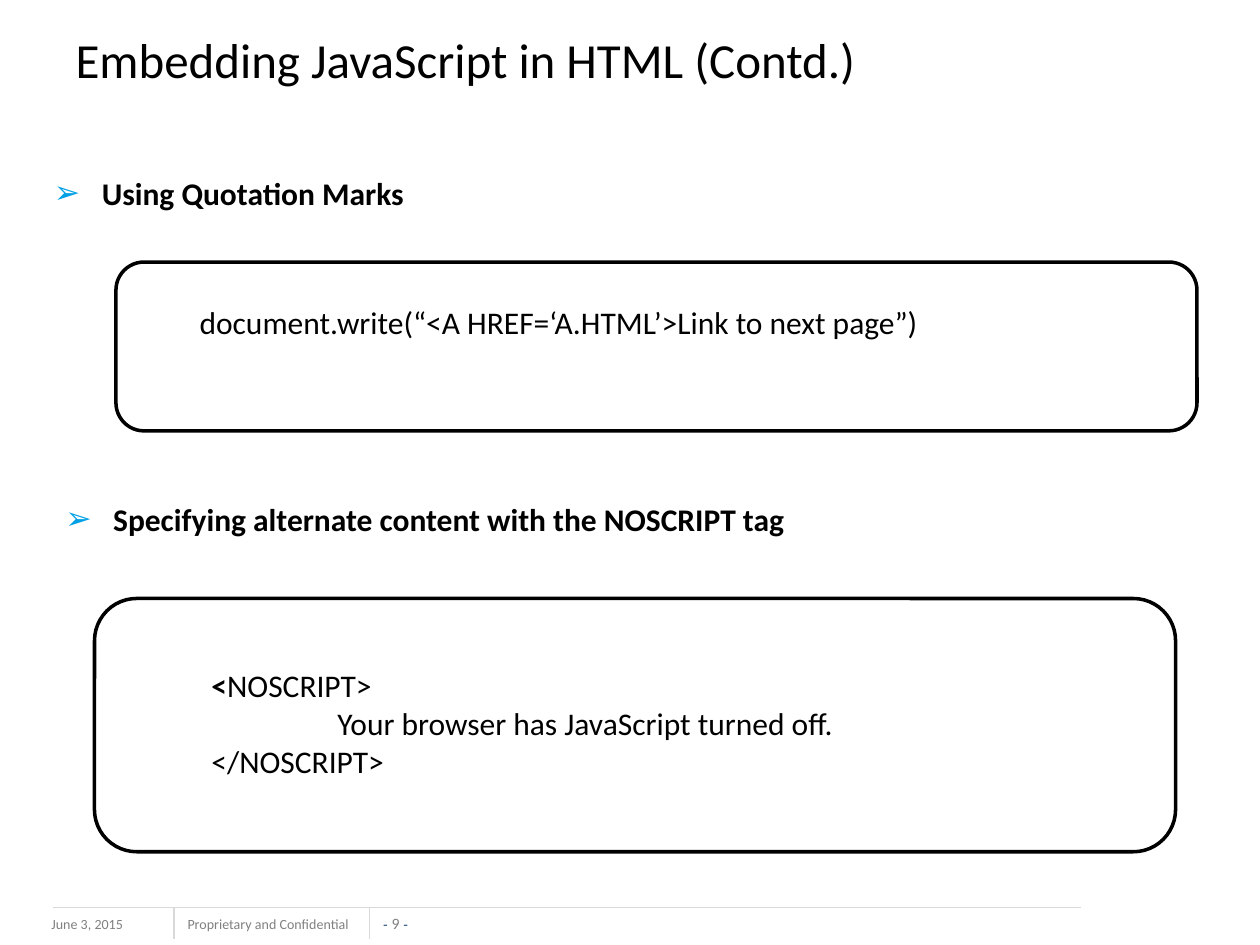
import pptx
import pptx.dml.color
import pptx.enum.shapes
import pptx.enum.text
import pptx.oxml.ns
import pptx.util
from lxml import etree
from pptx.util import Inches

ANCHOR = pptx.enum.text.MSO_ANCHOR
ALIGN = pptx.enum.text.PP_ALIGN
SHAPES = pptx.enum.shapes.MSO_SHAPE
qn = pptx.oxml.ns.qn


def style(font, size, color, bold=False, name="Calibri"):
    font.name = name
    font.size = pptx.util.Pt(size)
    font.bold = bold
    font.color.rgb = pptx.dml.color.RGBColor.from_string(color)


def add_text(left, top, width, height, text, wrap=True):
    box = slide.shapes.add_textbox(Inches(left), Inches(top), Inches(width), Inches(height))
    box.text_frame.word_wrap = wrap
    box.text_frame.text = text
    return box.text_frame


deck = pptx.Presentation()
deck.slide_width, deck.slide_height = Inches(10), Inches(7.5)
slide = deck.slides.add_slide(deck.slide_layouts[5])

# Footer
for left, width, text, wrap in [(0.31, 1.33, "June 3, 2015", True),
                                (1.39, 1.57, "Proprietary and Confidential", False)]:
    footer = add_text(left, 7.22, width, 0.25, text, wrap)
    style(footer.paragraphs[0].runs[0].font, 8, "808080")

page = add_text(3.01, 7.25, 0.26, 0.15, "", wrap=False)
page.margin_left = page.margin_right = page.margin_top = page.margin_bottom = 0
page.vertical_anchor = ANCHOR.BOTTOM
page.paragraphs[0].alignment = ALIGN.CENTER
for text, size, color, name in [("- ", 8, "1F497D", "Arial"), ("9 ", 9, "808080", "Calibri"),
                                ("-", 8, "1F497D", "Arial")]:
    run = page.paragraphs[0].add_run()
    run.text = text
    style(run.font, size, color, name=name)

for x1, y1, x2, y2 in [(8.58, 7.2, 0.42, 7.2), (1.38, 7.2, 1.38, 7.45), (2.93, 7.2, 2.93, 7.45)]:
    rule = slide.shapes.add_connector(pptx.enum.shapes.MSO_CONNECTOR.STRAIGHT,
                                      Inches(x1), Inches(y1), Inches(x2), Inches(y2))
    rule.line.color.rgb = pptx.dml.color.RGBColor.from_string("D9D9D9")
    rule.line.width = pptx.util.Pt(0.75)
    etree.SubElement(rule._element.spPr, qn("a:effectLst"))

# Title
title = slide.shapes.title
title.left, title.top, title.width, title.height = Inches(0.5), Inches(0.08), Inches(9), Inches(0.78)
title.text_frame.text = "Embedding JavaScript in HTML (Contd.)"
title.text_frame.vertical_anchor = ANCHOR.MIDDLE
title.text_frame.paragraphs[0].alignment = ALIGN.LEFT
style(title.text_frame.paragraphs[0].runs[0].font, 28, "000000")

# Bulleted headings
for left, top, text in [(0.33, 1.33, "Using Quotation Marks"),
                        (0.42, 3.92, "Specifying alternate content with the NOSCRIPT tag")]:
    heading = add_text(left, top, 9, 0.82, text).paragraphs[0]
    properties = heading._p.get_or_add_pPr()
    properties.set("marL", str(Inches(0.38)))
    properties.set("indent", str(-Inches(0.38)))
    bullet_color = etree.SubElement(properties, qn("a:buClr"))
    etree.SubElement(bullet_color, qn("a:srgbClr"), val="00A1E4")
    etree.SubElement(properties, qn("a:buFont"), typeface="Arial")
    etree.SubElement(properties, qn("a:buChar"), char="➢")
    style(heading.runs[0].font, 18, "000000", bold=True)

# Code frames
frames = []
for left, top, height in [(0.92, 2.08, 1.34), (0.75, 4.75, 2.01)]:
    frame = slide.shapes.add_shape(SHAPES.ROUNDED_RECTANGLE, Inches(left), Inches(top),
                                   Inches(8.58), Inches(height))
    frame.shadow.inherit = False
    frame.fill.solid()
    frame.fill.fore_color.rgb = pptx.dml.color.RGBColor.from_string("FFFFFF")
    frame.line.color.rgb = pptx.dml.color.RGBColor.from_string("000000")
    frame.line.width = pptx.util.Pt(2)
    frames.append(frame)

quotation = frames[0].text_frame
quotation.text = "document.write(“<A HREF=‘A.HTML’>Link to next page”)"
quotation.word_wrap = True
quotation.vertical_anchor = ANCHOR.TOP
quotation.margin_top = Inches(0.26)
quotation.paragraphs[0].alignment = ALIGN.LEFT

noscript = add_text(1.08, 5.24, 7.75, 1,
                    "<\n\t\tYour browser has JavaScript turned off.\n</NOSCRIPT>")
noscript.paragraphs[0].add_run().text = "NOSCRIPT>"

for paragraph in [*quotation.paragraphs, *noscript.paragraphs]:
    paragraph._p.get_or_add_pPr().set("marL", str(Inches(0.5)))
    for run in paragraph.runs:
        style(run.font, 18, "000000", bold=run.text == "<")

deck.save("out.pptx")
